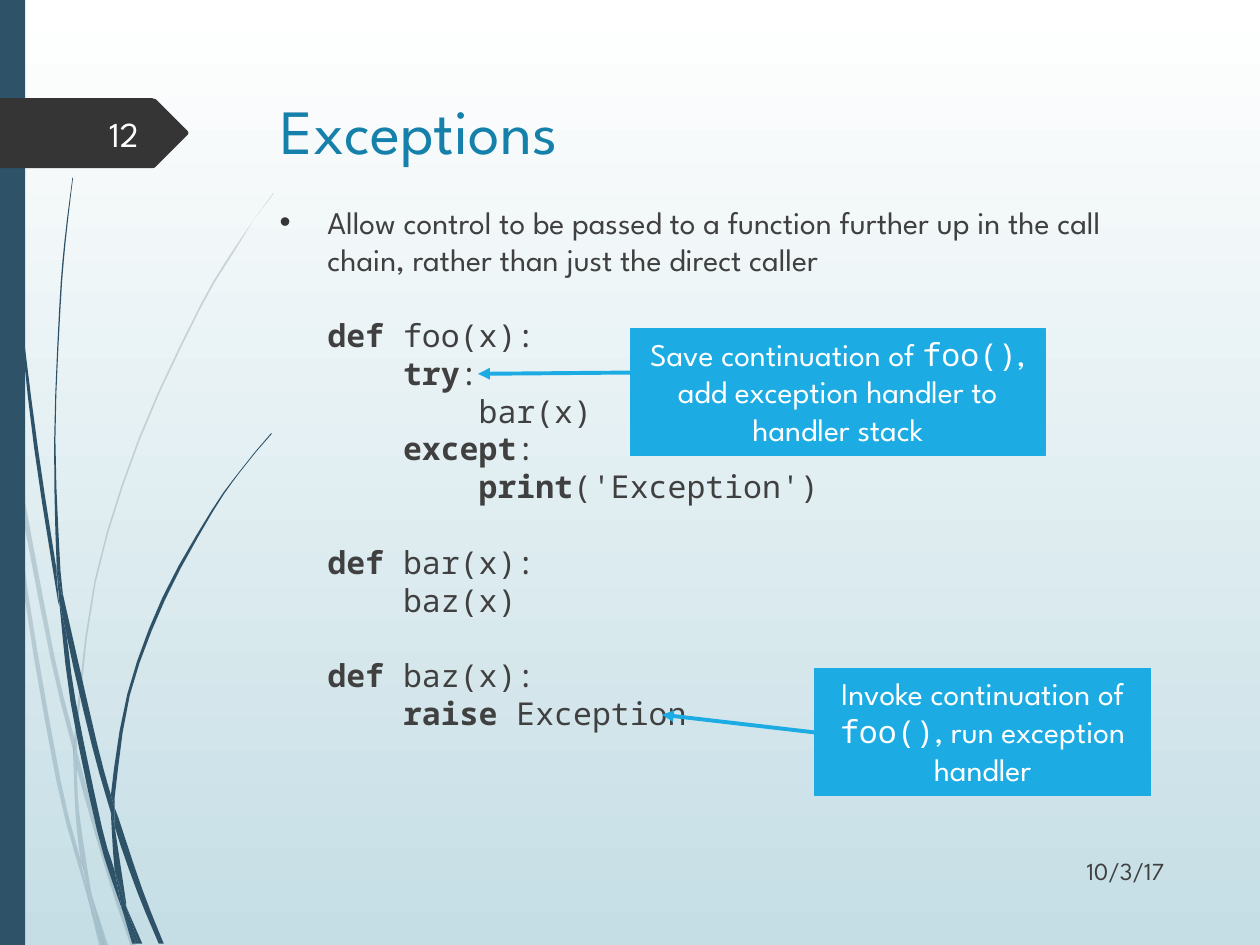
from math import hypot
from pptx import Presentation
from pptx.dml.color import RGBColor
from pptx.enum.shapes import MSO_CONNECTOR as Connector, MSO_SHAPE as Preset
from pptx.enum.text import MSO_ANCHOR as Anchor, MSO_AUTO_SIZE as AutoSize, PP_ALIGN as Align
from pptx.oxml.ns import qn
from pptx.util import Pt
from lxml import etree

WHITE = RGBColor(0xFF, 0xFF, 0xFF)
MIST = RGBColor(0xC5, 0xDE, 0xE5)
NAVY = RGBColor(0x2E, 0x53, 0x69)
CHARCOAL = RGBColor(0x35, 0x35, 0x35)
INK = RGBColor(0x40, 0x40, 0x40)
TEAL = RGBColor(0x15, 0x81, 0xAA)
SKY = RGBColor(0x1C, 0xAC, 0xE3)
NUMBER = RGBColor(0xFE, 0xFF, 0xFF)
SANS = "League Spartan"
MONO = "Noto Sans Mono"
HANG = 27.36
GRID = Pt(0.72)

PALE_BLADES = [
    [(8, 350), (6, 322), (0, 282), (0, 299), (7, 344)],
    [(40, 522), (59, 599), (59, 586), (43, 520), (10, 345), (12, 376)],
    [(64, 607), (61, 596), (61, 610), (85, 694), (104, 751), (108, 751), (88, 692)],
    [(83, 751), (86, 751), (73, 711)],
    [(64, 683), (48, 619), (22, 469), (12, 376), (8, 350), (19, 470), (45, 621), (64, 693),
     (70, 714), (69, 707)],
    [(58, 599), (60, 646), (64, 683), (67, 692), (73, 711), (72, 706), (63, 646), (61, 610),
     (61, 608)],
    [(61, 584), (76, 462), (111, 349), (159, 245), (187, 198), (201, 175), (217, 154), (217, 153),
     (201, 175), (186, 197), (158, 244), (110, 348), (75, 461), (59, 584), (59, 586), (61, 596)],
    [(70, 714), (79, 751), (82, 751)],
    [(61, 608), (61, 610), (61, 596), (59, 586), (58, 599)],
    [(67, 692), (65, 683), (69, 707), (70, 714), (82, 751), (83, 751), (73, 711)],
]
DARK_BLADES = [
    [(5, 110), (14, 233), (27, 355), (46, 477), (47, 481), (45, 457), (45, 453), (30, 355),
     (15, 232), (6, 109), (4, 48), (3, 0), (2, 0), (3, 48)],
    [(73, 592), (88, 645), (88, 633), (88, 631), (77, 590), (50, 472), (53, 505)],
    [(94, 649), (91, 641), (91, 656), (109, 708), (126, 749), (130, 749), (113, 706)],
    [(91, 691), (81, 657), (60, 556), (53, 505), (47, 477), (56, 557), (77, 659), (92, 708),
     (97, 722), (96, 717)],
    [(50, 472), (48, 453), (44, 349), (48, 245), (52, 193), (58, 141), (57.5, 141), (51, 193),
     (47, 245), (43, 349), (45, 449), (49, 472)],
    [(110, 749), (113, 749), (100, 719)],
    [(47, 477), (53, 505), (50, 472), (49, 472), (45, 449), (45, 453)],
    [(91, 633), (103, 552), (131, 476), (169, 406), (191, 374), (203, 359), (216, 344), (215, 344),
     (203, 358), (191, 373), (168, 405), (129, 474), (101, 551), (88, 631), (91, 641)],
    [(97, 722), (105, 749), (108, 749)],
    [(88, 645), (91, 691), (96, 706), (100, 719), (100, 716), (91, 656), (90, 651)],
    [(88, 645), (90, 651), (91, 656), (91, 641), (88, 631), (88, 633)],
    [(96, 706), (91, 691), (96, 717), (97, 722), (108, 749), (110, 749), (100, 719)],
]
TAG_OUTLINE = [(0, 0), (121, 0), (123, 0.7), (124, 1), (149, 26), (149.6, 27.5), (149, 29),
               (124, 54), (123, 55), (121, 55.5), (0, 55.5)]
LESSON = [
    ("Allow control to be passed to a function further up in the call chain, "
     "rather than just the direct caller\n\n", SANS, False),
    ("def", MONO, True), (" foo(x):\n    ", MONO, False),
    ("try", MONO, True), (":\n        bar(x)\n    ", MONO, False),
    ("except", MONO, True), (":\n        ", MONO, False),
    ("print", MONO, True), ("('Exception')\n\n", MONO, False),
    ("def", MONO, True), (" bar(x):\n    baz(x)\n\n", MONO, False),
    ("def ", MONO, True), ("baz(x):\n    ", MONO, False),
    ("raise", MONO, True), (" Exception", MONO, False),
]


def paint(shape, color):
    shape.shadow.inherit = False
    shape.fill.solid()
    shape.fill.fore_color.rgb = color
    shape.line.fill.background()


def style(font, size, color, face, bold):
    font.size = Pt(size)
    font.name = face
    font.bold = bold
    font.color.rgb = color


def add_span(para, text, size, color, face=SANS, bold=False):
    for index, line in enumerate(text.split("\n")):
        if index:
            para.add_line_break()
            mark = etree.SubElement(para._p.findall(qn("a:br"))[-1], qn("a:rPr"))
            mark.set("sz", str(size * 100))
            etree.SubElement(mark, qn("a:latin")).set("typeface", face)
        if line:
            span = para.add_run()
            span.text = line
            style(span.font, size, color, face, bold)


def add_text(page, box, text, size, color, align=Align.LEFT, anchor=Anchor.TOP):
    frame = page.shapes.add_textbox(*map(Pt, box)).text_frame
    frame.word_wrap = True
    frame.vertical_anchor = anchor
    frame.paragraphs[0].alignment = align
    add_span(frame.paragraphs[0], text, size, color)


def draw_outline(page, left, top, points, color):
    scaled = [(x * 100, y * 100) for x, y in points]
    builder = page.shapes.build_freeform(*scaled[0], scale=GRID / 100)
    builder.add_line_segments(scaled[1:], close=True)
    shape = builder.convert_to_shape(Pt(left), Pt(top))
    paint(shape, color)
    return shape


def is_corner(a, b, c):
    ux, uy, vx, vy = b[0] - a[0], b[1] - a[1], c[0] - b[0], c[1] - b[1]
    return ux * vx + uy * vy < 0.85 * hypot(ux, uy) * hypot(vx, vy)


def round_edges(knots, steps=3):
    count = len(knots)
    result = []
    for index in range(count):
        a, b, c, d = (knots[(index + shift) % count] for shift in (-1, 0, 1, 2))
        start = b if is_corner(a, b, c) else a
        end = c if is_corner(b, c, d) else d
        pieces = steps if hypot(c[0] - b[0], c[1] - b[1]) > 30 else 1
        for step in range(pieces):
            t = step / pieces
            result.append(tuple(
                q + t * (r - p) / 2 + t * t * (2 * p - 5 * q + 4 * r - s) / 2
                + t ** 3 * (3 * q - p - 3 * r + s) / 2
                for p, q, r, s in zip(start, b, c, end)))
    return result


def draw_blades(page, left, top, blades, color, opacity=100):
    for knots in blades:
        shape = draw_outline(page, left, top, round_edges(knots), color)
        if opacity < 100:
            tint = shape.fill._xPr.find(qn("a:solidFill"))[0]
            etree.SubElement(tint, qn("a:alpha")).set("val", str(opacity * 1000))


def draw_backdrop(page, height):
    fill = page.background.fill
    fill.gradient()
    fill.gradient_angle = 270
    for stop, color, position in zip(fill.gradient_stops, (WHITE, MIST), (0, 1)):
        stop.color.rgb = color
        stop.position = position
    draw_blades(page, 0, 0, PALE_BLADES, NAVY, 20)
    draw_blades(page, 0, 0, DARK_BLADES, NAVY)
    paint(page.shapes.add_shape(Preset.RECTANGLE, 0, 0, Pt(14.4), Pt(height)), NAVY)


def draw_body(page, box):
    frame = page.shapes.add_textbox(*map(Pt, box)).text_frame
    frame.word_wrap = True
    para = frame.paragraphs[0]
    para.space_before = Pt(10)
    props = para._p.get_or_add_pPr()
    props.set("marL", str(Pt(HANG)))
    props.set("indent", str(Pt(-HANG)))
    tint = etree.SubElement(etree.SubElement(props, qn("a:buClr")), qn("a:srgbClr"))
    tint.set("val", str(CHARCOAL))
    etree.SubElement(props, qn("a:buFont")).set("typeface", "Arial")
    etree.SubElement(props, qn("a:buChar")).set("char", "•")
    for text, face, bold in LESSON:
        add_span(para, text, 18, INK, face, bold)


def draw_callout(page, box, before, after, arrow_start, arrow_run, arrow_rise):
    left, top, width, height = box
    shape = page.shapes.add_shape(Preset.RECTANGLE, *map(Pt, box))
    paint(shape, SKY)
    shape.line.color.rgb = SKY
    shape.line.width = Pt(0.75)
    frame = shape.text_frame
    frame.word_wrap = True
    frame.auto_size = AutoSize.SHAPE_TO_FIT_TEXT
    frame.vertical_anchor = Anchor.TOP
    para = frame.paragraphs[0]
    para.alignment = Align.CENTER
    for text, face in ((before, SANS), ("foo()", MONO), (after, SANS)):
        add_span(para, text, 18, WHITE, face)
    start = top + arrow_start
    arrow = page.shapes.add_connector(Connector.STRAIGHT, Pt(left), Pt(start),
                                      Pt(left - arrow_run), Pt(start - arrow_rise))
    arrow.line.color.rgb = SKY
    arrow.line.width = Pt(2.25)
    etree.SubElement(arrow.line._get_or_add_ln(), qn("a:tailEnd")).set("type", "triangle")
    etree.SubElement(arrow._element.spPr, qn("a:effectLst"))


deck = Presentation()
deck.slide_width, deck.slide_height = Pt(720), Pt(540)
page = deck.slides.add_slide(deck.slide_layouts[6])
draw_backdrop(page, 540)
draw_outline(page, 0, 56.16, TAG_OUTLINE, CHARCOAL)
add_text(page, (153.36, 48.96, 519.12, 54), "Exceptions", 36, TEAL)
draw_body(page, (152.64, 112.32, 519.12, 360))
add_text(page, (576.72, 483.12, 95.76, 28.8), "10/3/17", 14, INK, Align.RIGHT, Anchor.MIDDLE)
add_text(page, (40.32, 61.92, 46.08, 28.8), "12", 20, NUMBER, Align.RIGHT, Anchor.MIDDLE)
draw_callout(page, (360.3, 187.7, 236.88, 72.72), "Save continuation of ",
             ", add exception handler to handler stack", 25.2, 87.12, -0.72)
draw_callout(page, (465.4, 381.8, 192.24, 72.72), "Invoke continuation of ",
             ", run exception handler", 36.72, 87.12, 10.08)
deck.save("out.pptx")
